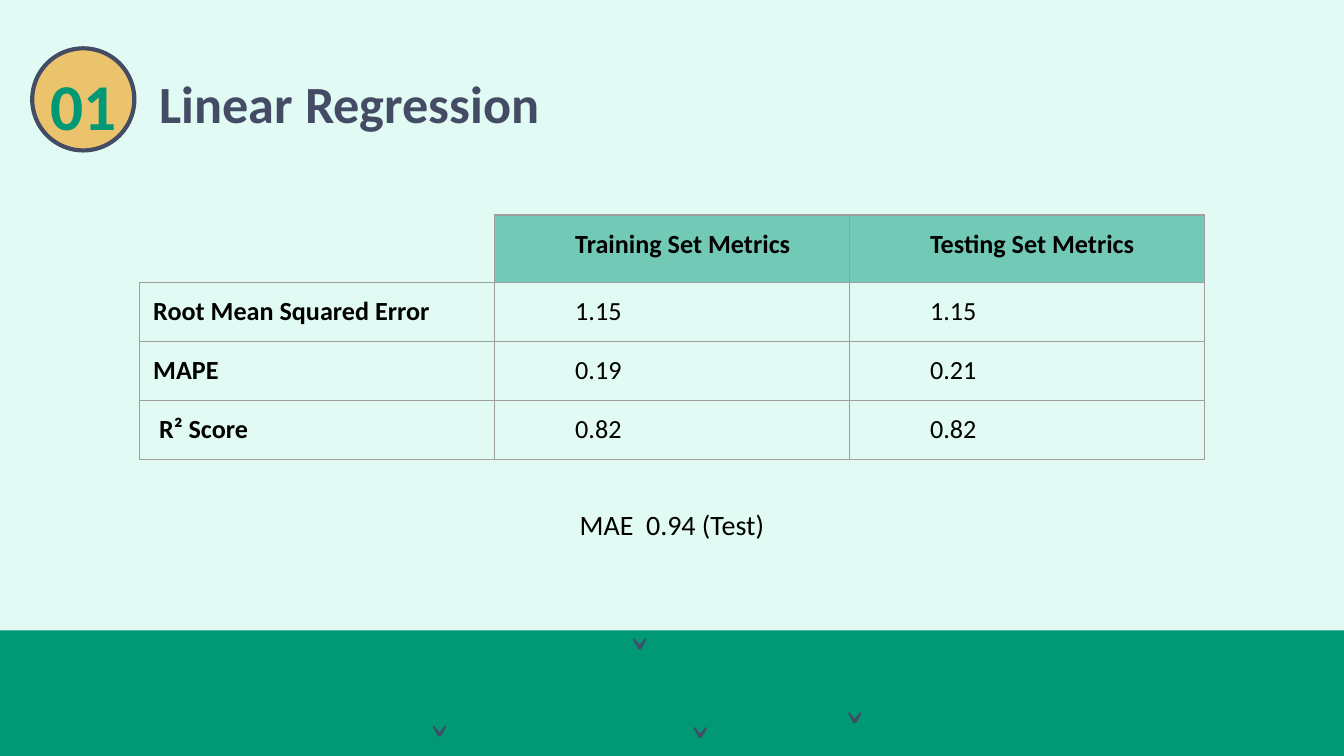
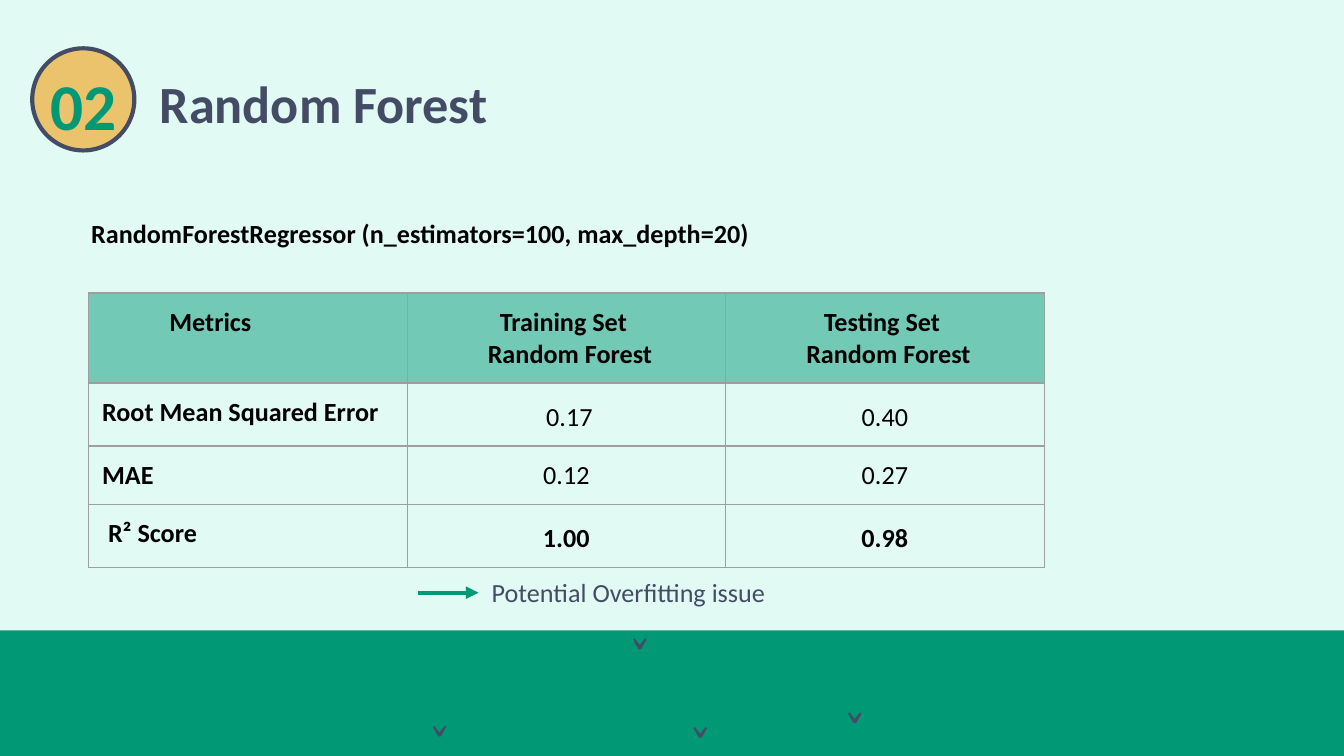
from dataclasses import dataclass
from typing import NamedTuple

from lxml import etree
from pptx import Presentation
from pptx.dml.color import RGBColor
from pptx.enum.shapes import MSO_CONNECTOR, MSO_SHAPE
from pptx.enum.text import MSO_ANCHOR, PP_ALIGN
from pptx.oxml.ns import qn
from pptx.util import Inches, Pt

CENTER = PP_ALIGN.CENTER
TOP, MIDDLE = MSO_ANCHOR.TOP, MSO_ANCHOR.MIDDLE
RECTANGLE, OVAL = MSO_SHAPE.RECTANGLE, MSO_SHAPE.OVAL
STRAIGHT = MSO_CONNECTOR.STRAIGHT
LEFT_SIDE = 1


@dataclass(frozen=True)
class Theme:
    font: str = "Calibri"
    mint: str = "E1FAF4"
    green: str = "009875"
    slate: str = "444C65"
    gold: str = "EAC36C"
    black: str = "000000"
    grid: str = "9E9E9E"
    header_opacity: int = 49
    title_size: int = 28
    number_size: int = 35
    summary_size: int = 15
    body_size: int = 14
    rule_width: float = 2.25
    grid_width: float = 0.75
    inset: float = 0.1


THEME = Theme()


class Box(NamedTuple):
    left: float
    top: float
    width: float
    height: float


class Line(NamedTuple):
    """One paragraph and its formatting."""
    text: str
    bold: bool = False
    centered: bool = False
    indent: float = 0
    spacing: float | None = None
    size: float = THEME.body_size
    color: str = THEME.black


class Cell(NamedTuple):
    lines: tuple[Line, ...]
    header: bool = False
    open_sides: str = ""


class Grid(NamedTuple):
    left: float
    top: float
    column_width: float
    row_heights: tuple[float, ...]
    rows: list[list[Cell]]


BAND = Box(0, 4.69, 10.03, 0.94)
BADGE = Box(0.24, 0.36, 0.76, 0.76)
NUMBER = Box(0.15, 0.53, 0.94, 0.49)
TITLE = Box(1.09, 0.43, 5.95, 0.63)
FLECKS = [(4.76, 4.75), (6.36, 5.3), (3.27, 5.4), (5.21, 5.41)]
FLECK_OUTLINE = [(-0.05, 0.01), (-0.04, 0), (0, 0.05), (0.04, 0),
                 (0.05, 0.01), (0.01, 0.08), (-0.01, 0.08)]


def rgb(value: str) -> RGBColor:
    return RGBColor.from_string(value)


def inches(box: Box) -> list[int]:
    return [Inches(length) for length in box]


def write(frame, lines: tuple[Line, ...]) -> None:
    frame.text = "\n".join(line.text for line in lines)
    for paragraph, line in zip(frame.paragraphs, lines):
        if line.centered:
            paragraph.alignment = CENTER
        if line.indent:
            properties = paragraph._p.get_or_add_pPr()
            properties.set("marL", str(Inches(line.indent)))
            properties.set("indent", "0")
        if line.spacing:
            paragraph.line_spacing = line.spacing
        for run in paragraph.runs:
            font = run.font
            font.name = THEME.font
            font.size = Pt(line.size)
            font.bold = line.bold
            font.color.rgb = rgb(line.color)


def add_text(slide, box: Box, line: Line, anchor=TOP):
    holder = slide.shapes.add_textbox(*inches(box))
    frame = holder.text_frame
    frame.word_wrap = True
    frame.vertical_anchor = anchor
    inset = Inches(THEME.inset)
    frame.margin_left = frame.margin_right = inset
    frame.margin_top = frame.margin_bottom = inset
    write(frame, (line,))
    return holder


def paint(shape, fill: str, outline: str | None = None) -> None:
    shape.shadow.inherit = False
    shape.fill.solid()
    shape.fill.fore_color.rgb = rgb(fill)
    if outline:
        shape.line.color.rgb = rgb(outline)
        shape.line.width = Pt(THEME.rule_width)
    else:
        shape.line.fill.background()


def add_flecks(slide) -> None:
    """Draw the small chevrons on the band as one outline."""
    builder = None
    for x, y in FLECKS:
        points = [(Inches(x + dx), Inches(y + dy)) for dx, dy in FLECK_OUTLINE]
        if builder is None:
            builder = slide.shapes.build_freeform(*points[0], scale=1.0)
        else:
            builder.move_to(*points[0])
        builder.add_line_segments(points[1:], close=True)
    paint(builder.convert_to_shape(), THEME.slate)


def add_section(deck, number: str, title: str):
    slide = deck.slides.add_slide(deck.slide_layouts[6])
    slide.background.fill.solid()
    slide.background.fill.fore_color.rgb = rgb(THEME.mint)
    paint(slide.shapes.add_shape(RECTANGLE, *inches(BAND)), THEME.green)
    add_flecks(slide)
    add_text(slide, TITLE, Line(title, bold=True, size=THEME.title_size,
                                color=THEME.slate))
    paint(slide.shapes.add_shape(OVAL, *inches(BADGE)), THEME.gold, THEME.slate)
    add_text(slide, NUMBER, Line(number, bold=True, centered=True,
                                 size=THEME.number_size, color=THEME.green), MIDDLE)
    return slide


def set_borders(cell, open_sides: str) -> None:
    properties = cell._tc.get_or_add_tcPr()
    for side in "LRTB":
        border = etree.SubElement(properties, qn(f"a:ln{side}"),
                                  w=str(Pt(THEME.grid_width)))
        if side in open_sides:
            etree.SubElement(border, qn("a:noFill"))
        else:
            fill = etree.SubElement(border, qn("a:solidFill"))
            etree.SubElement(fill, qn("a:srgbClr"), val=THEME.grid)


def fill_cell(cell, content: Cell) -> None:
    inset = Inches(THEME.inset)
    cell.margin_left = cell.margin_right = inset
    cell.margin_top = cell.margin_bottom = inset
    write(cell.text_frame, content.lines)
    set_borders(cell, content.open_sides)
    if content.header:
        cell.fill.solid()
        cell.fill.fore_color.rgb = rgb(THEME.green)
        color = cell._tc.tcPr.find(f"{qn('a:solidFill')}/{qn('a:srgbClr')}")
        etree.SubElement(color, qn("a:alpha"), val=str(THEME.header_opacity * 1000))
    else:
        cell.fill.background()


def add_grid(slide, grid: Grid) -> None:
    columns = len(grid.rows[0])
    box = Box(grid.left, grid.top, grid.column_width * columns, sum(grid.row_heights))
    table = slide.shapes.add_table(len(grid.rows), columns, *inches(box)).table
    table.first_row = table.horz_banding = False
    for column in table.columns:
        column.width = Inches(grid.column_width)
    for row, height, contents in zip(table.rows, grid.row_heights, grid.rows):
        row.height = Inches(height)
        for cell, content in zip(row.cells, contents):
            fill_cell(cell, content)


def add_arrow(slide, x: float, y: float, target) -> None:
    """Draw an arrow from a point to the left side of the target."""
    arrow = slide.shapes.add_connector(STRAIGHT, Inches(x), Inches(y),
                                       target.left, Inches(y))
    arrow.end_connect(target, LEFT_SIDE)
    arrow.line.color.rgb = rgb(THEME.green)
    arrow.line.width = Pt(THEME.rule_width)
    etree.SubElement(arrow.line._get_or_add_ln(), qn("a:tailEnd"), type="triangle")
    etree.SubElement(arrow._element.spPr, qn("a:effectLst"))


def metric(name: str) -> Cell:
    return Cell((Line(name, bold=True),))


def indented(text: str, header: bool = False) -> Cell:
    return Cell((Line(text, bold=header, indent=0.5),), header)


def forest_header(data_set: str) -> Cell:
    return Cell((Line(f"{data_set} Set ", bold=True, centered=True),
                 Line("Random Forest", bold=True, indent=0.5)), header=True)


def centered(text: str, bold: bool = False, spacing: float | None = None) -> Cell:
    return Cell((Line(text, bold=bold, centered=True, spacing=spacing),))


def build_linear_regression(deck) -> None:
    slide = add_section(deck, "01", "Linear Regression")
    scores = [("Root Mean Squared Error", "1.15", "1.15"),
              ("MAPE", "0.19", "0.21"),
              (" R² Score", "0.82", "0.82")]
    rows = [[Cell((Line(""),), open_sides="LT"),
             indented("Training Set Metrics", header=True),
             indented("Testing Set Metrics", header=True)]]
    rows += [[metric(name), indented(training), indented(testing)]
             for name, training, testing in scores]
    add_grid(slide, Grid(1.04, 1.6, 2.64, (0.48, 0.44, 0.44, 0.44), rows))
    add_text(slide, Box(3.36, 3.68, 3.28, 0.45),
             Line("MAE  0.94 (Test)", centered=True, size=THEME.summary_size))


def build_random_forest(deck) -> None:
    slide = add_section(deck, "02", "Random Forest")
    add_text(slide, Box(0.58, 1.48, 5.29, 0.44),
             Line("RandomForestRegressor (n_estimators=100, max_depth=20)",
                  bold=True, spacing=1.15))
    scores = [("Root Mean Squared Error", " 0.17", "0.40", False, 1.15),
              ("MAE", "0.12", "0.27", False, None),
              (" R² Score", "1.00", "0.98", True, 1.15)]
    rows = [[indented("Metrics", header=True),
             forest_header("Training"), forest_header("Testing")]]
    rows += [[metric(name), centered(training, bold, spacing),
              centered(testing, bold, spacing)]
             for name, training, testing, bold, spacing in scores]
    add_grid(slide, Grid(0.66, 2.18, 2.37, (0.67, 0.47, 0.43, 0.47), rows))
    warning = add_text(slide, Box(3.56, 4.19, 2.88, 0.44),
                       Line("Potential Overfitting issue", color=THEME.slate))
    add_arrow(slide, 3.11, 4.41, warning)


def main() -> None:
    deck = Presentation()
    deck.slide_width = Inches(10)
    deck.slide_height = deck.slide_width * 9 // 16
    build_linear_regression(deck)
    build_random_forest(deck)
    deck.save("out.pptx")


if __name__ == "__main__":
    main()
